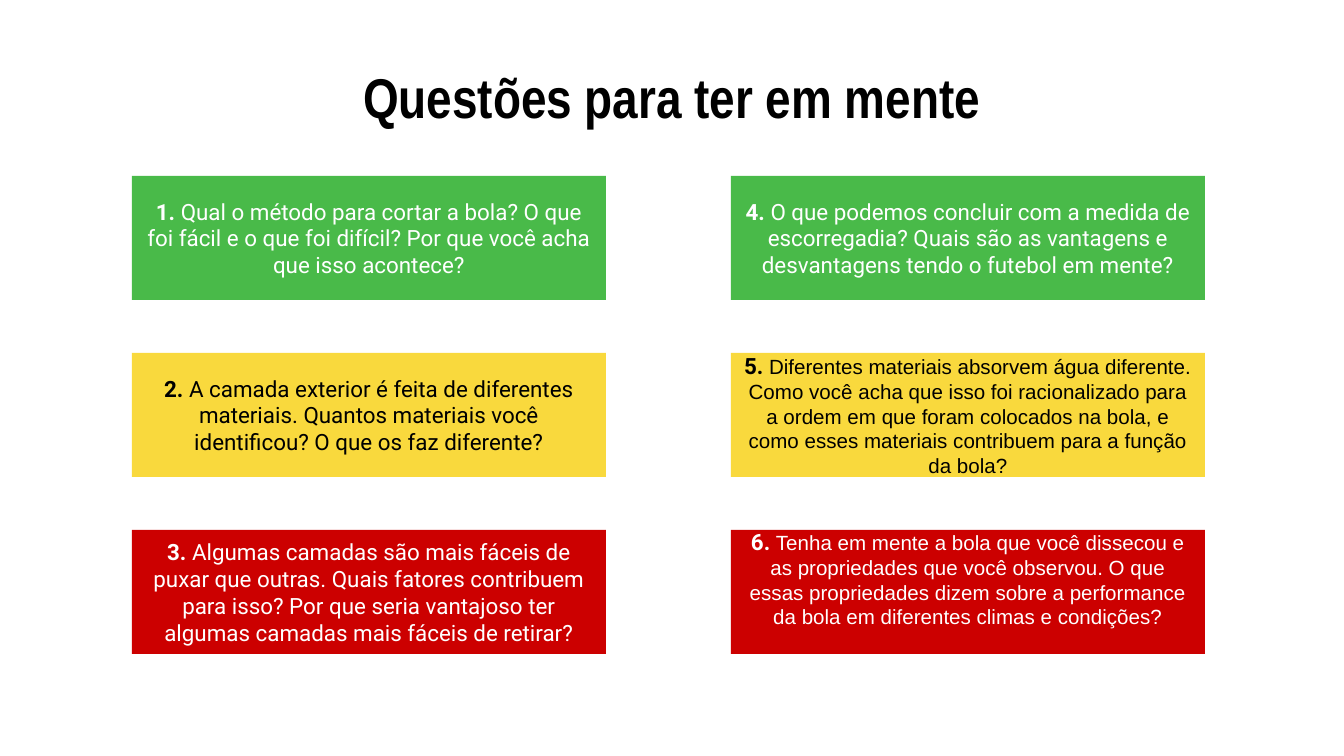
from dataclasses import dataclass

from pptx import Presentation
from pptx.dml.color import RGBColor
from pptx.enum.shapes import MSO_SHAPE
from pptx.enum.text import MSO_ANCHOR, PP_ALIGN
from pptx.util import Pt

RECT = MSO_SHAPE.RECTANGLE
TOP, MIDDLE = MSO_ANCHOR.TOP, MSO_ANCHOR.MIDDLE
CENTER = PP_ALIGN.CENTER
SCALE = 914400 / 134.4  # EMU in one px


@dataclass(frozen=True)
class Theme:
    black: str = "000000"
    white: str = "FFFFFF"
    green: str = "49BA49"
    yellow: str = "F9D93D"
    red: str = "CC0000"
    head: tuple = ("Arial Narrow", 30)
    body: tuple = ("Roboto", 12)
    dense: tuple = ("Arial", 11)


THEME = Theme()
ROWS = [(THEME.green, THEME.white), (THEME.yellow, THEME.black), (THEME.red, THEME.white)]

# Question text, type style, bottom margin in px
CARDS = [
    ("Qual o método para cortar a bola? O que foi fácil e o que foi difícil? "
     "Por que você acha que isso acontece?", THEME.body, 13),
    ("A camada exterior é feita de diferentes materiais. Quantos materiais você "
     "identificou? O que os faz diferente?", THEME.body, 13),
    ("Algumas camadas são mais fáceis de puxar que outras. Quais fatores contribuem "
     "para isso? Por que seria vantajoso ter algumas camadas mais fáceis de retirar?",
     THEME.body, 13),
    ("O que podemos concluir com a medida de escorregadia? Quais são as vantagens e "
     "desvantagens tendo o futebol em mente?", THEME.body, 13),
    ("Diferentes materiais absorvem água diferente. Como você acha que isso foi "
     "racionalizado para a ordem em que foram colocados na bola, e como esses "
     "materiais contribuem para a função da bola?", THEME.dense, 13),
    ("Tenha em mente a bola que você dissecou e as propriedades que você observou. "
     "O que essas propriedades dizem sobre a performance da bola em diferentes "
     "climas e condições?", THEME.dense, 40),
]


def px(size):
    return round(size * SCALE)


def apply(item, form):
    for name, value in form.items():
        setattr(item, name, value)


def set_frame(frame, anchor, bottom=13):
    apply(frame, {
        "word_wrap": True, "vertical_anchor": anchor,
        "margin_left": px(13), "margin_right": px(13),
        "margin_top": px(13), "margin_bottom": px(bottom),
    })
    para = frame.paragraphs[0]
    para.alignment = CENTER
    return para


def add_run(para, text, style, color, bold):
    run = para.add_run()
    run.text = text
    face, size = style
    apply(run.font, {"name": face, "size": Pt(size), "bold": bold})
    run.font.color.rgb = RGBColor.from_string(color)


def add_title(slide, box, text):
    shape = slide.shapes.add_textbox(*map(px, box))
    para = set_frame(shape.text_frame, TOP)
    para.line_spacing = 0.5
    add_run(para, text, THEME.head, THEME.black, True)


def add_card(slide, box, number, card, colors):
    text, style, bottom = card
    fill, ink = colors
    shape = slide.shapes.add_shape(RECT, *map(px, box))
    shape.shadow.inherit = False
    shape.fill.solid()
    shape.fill.fore_color.rgb = RGBColor.from_string(fill)
    shape.line.fill.background()
    para = set_frame(shape.text_frame, MIDDLE, bottom)
    add_run(para, f"{number}. ", THEME.body, ink, True)
    add_run(para, text, style, ink, False)


def add_grid(slide, box):
    left, top, width, height = box
    wide, high = 474, 124
    step_x = width - wide
    step_y = (height - high) / (len(ROWS) - 1)
    for index, card in enumerate(CARDS):
        col, row = divmod(index, len(ROWS))
        place = (left + col * step_x, top + row * step_y, wide, high)
        add_card(slide, place, index + 1, card, ROWS[row])


def main():
    deck = Presentation()
    deck.slide_width, deck.slide_height = px(1344), px(756)
    slide = deck.slides.add_slide(deck.slide_layouts[6])

    # Heading
    add_title(slide, (105, 79, 1134, 60), "Questões para ter em mente")
    # Questions, down each column in turn
    add_grid(slide, (132, 176, 1073, 478))

    deck.save("out.pptx")


if __name__ == "__main__":
    main()
